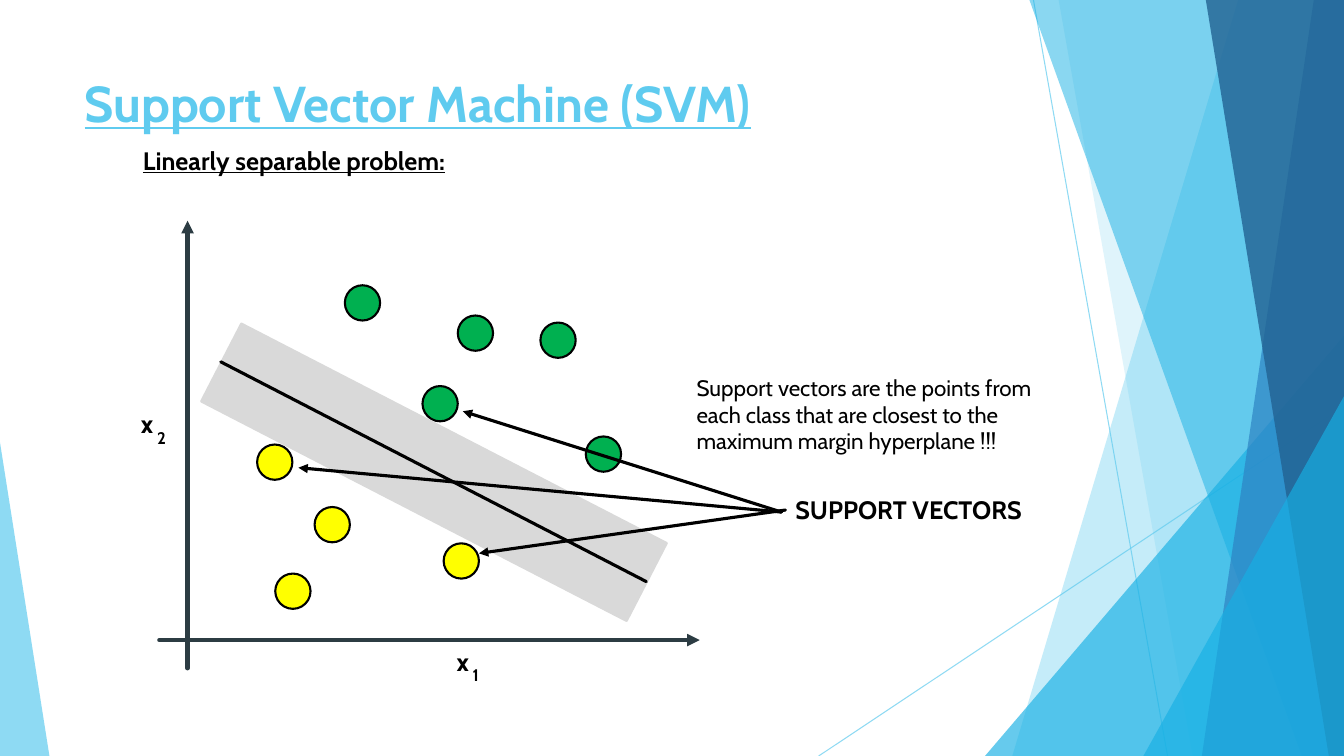
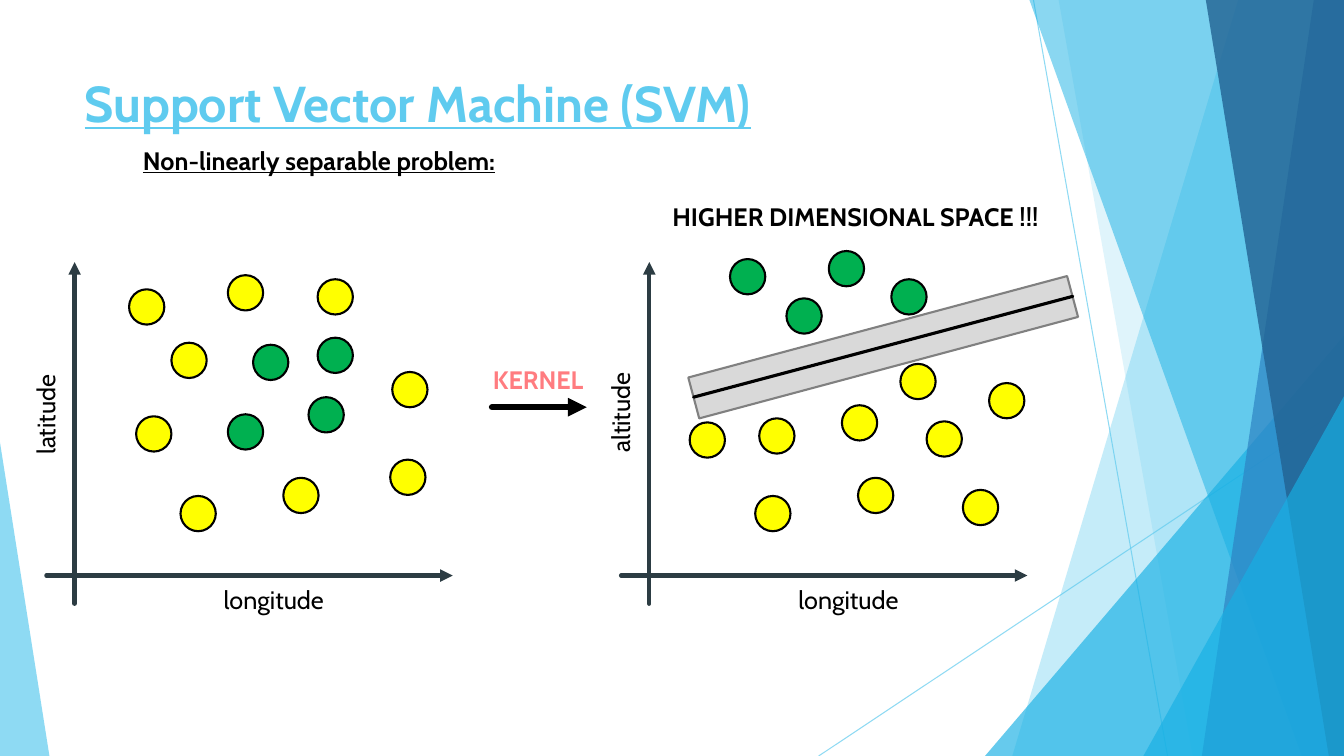
from pptx import Presentation
from pptx.dml.color import RGBColor
from pptx.enum.shapes import MSO_CONNECTOR, MSO_SHAPE
from pptx.oxml.ns import qn
from pptx.oxml.xmlchemy import OxmlElement
from pptx.util import Inches, Pt

STRAIGHT = MSO_CONNECTOR.STRAIGHT
OVAL = MSO_SHAPE.OVAL
RECTANGLE = MSO_SHAPE.RECTANGLE
TRIANGLE = MSO_SHAPE.ISOSCELES_TRIANGLE

SLIDE_WIDTH, SLIDE_HEIGHT = 13.33, 7.5
FONT = "Cabin"
LEFT_SIDE = 1
DOT_SIZE = 0.35
AXIS_TAIL = 0.28
LABEL_HEIGHT = 0.4
COLORS = {
    "sky": "5FCBEF",
    "azure": "17B0E4",
    "blue": "2E83C3",
    "navy": "226292",
    "axis": "2C3C43",
    "black": "000000",
    "yellow": "FFFF00",
    "green": "00B050",
    "margin": "D9D9D9",
    "margin_edge": "808080",
    "kernel": "FF7C80",
}


def rgb(color):
    return RGBColor.from_string(COLORS[color])


def set_opacity(shape, percent):
    """Make every colour of the shape's fill and line partly transparent."""
    for color in shape.element.spPr.iter(qn("a:srgbClr")):
        alpha = OxmlElement("a:alpha")
        alpha.set("val", str(percent * 1000))
        color.append(alpha)


def style_shape(shape, fill, edge=None, opacity=None):
    shape.shadow.inherit = False
    shape.fill.solid()
    shape.fill.fore_color.rgb = rgb(fill)
    if edge:
        shape.line.color.rgb = rgb(edge)
        shape.line.width = Pt(1.5)
    else:
        shape.line.fill.background()
    if opacity:
        set_opacity(shape, opacity)


def add_line(slide, start, end, color="black", width=2.25, arrow=False):
    """Draw a round-capped line, with a head at its end if arrow is set."""
    connector = slide.shapes.add_connector(
        STRAIGHT, *(Inches(value) for value in (*start, *end)))
    connector.line.color.rgb = rgb(color)
    connector.line.width = Pt(width)
    properties = connector.element.spPr
    outline = properties.find(qn("a:ln"))
    outline.set("cap", "rnd")
    if arrow:
        head = OxmlElement("a:tailEnd")
        head.set("type", "triangle")
        outline.append(head)
    properties.append(OxmlElement("a:effectLst"))
    return connector


def add_text(slide, text, left, top, width, height=LABEL_HEIGHT, size=18,
             color="black", bold=False, underline=False, rotation=0):
    """Add a text box with one paragraph for each line of text."""
    box = slide.shapes.add_textbox(
        Inches(left), Inches(top), Inches(width), Inches(height))
    box.rotation = rotation
    frame = box.text_frame
    frame.word_wrap = True
    frame.text = text
    for paragraph in frame.paragraphs:
        font = paragraph.font
        font.name = FONT
        font.size = Pt(size)
        font.bold = bold
        font.underline = underline
        font.color.rgb = rgb(color)
    return box


def add_band(slide, top_left, bottom_left, color, opacity):
    """Fill the slide from a slanted left edge to the right border."""
    builder = slide.shapes.build_freeform(Inches(top_left), 0)
    right, bottom = Inches(SLIDE_WIDTH), Inches(SLIDE_HEIGHT)
    builder.add_line_segments(
        [(right, 0), (right, bottom), (Inches(bottom_left), bottom)])
    style_shape(builder.convert_to_shape(), color, opacity=opacity)


def add_corner(slide, left, top, width, apex, color, opacity):
    """Add a triangle that stands on the bottom border of the slide."""
    shape = slide.shapes.add_shape(
        TRIANGLE, Inches(left), Inches(top), Inches(width),
        Inches(SLIDE_HEIGHT - top))
    shape.adjustments[0] = apex
    style_shape(shape, color, opacity=opacity)


def add_background(slide):
    for start, end in (((10.25, 0), (11.58, SLIDE_HEIGHT)),
                       ((SLIDE_WIDTH, 4.03), (8.12, SLIDE_HEIGHT))):
        set_opacity(add_line(slide, start, end, "sky", 0.75), 70)
    add_band(slide, 12.28, 10.04, "sky", 36)
    add_band(slide, 10.5, 11.83, "sky", 20)
    add_corner(slide, 9.77, 3.33, 3.56, 1, "azure", 66)
    add_band(slide, 10.21, 12.91, "azure", 50)
    add_band(slide, 13.03, 11.92, "blue", 70)
    add_band(slide, 11.96, 13.18, "navy", 80)
    add_corner(slide, 11.34, 3.93, 1.99, 1, "azure", 66)
    add_corner(slide, 0, 4.39, 0.49, 0, "sky", 70)


def add_svm_slide(presentation, subtitle):
    slide = presentation.slides.add_slide(presentation.slide_layouts[6])
    add_background(slide)
    add_text(slide, "Support Vector Machine (SVM)", 0.74, 0.67, 9.4, 1.44,
             size=36, color="sky", bold=True, underline=True)
    add_text(slide, subtitle, 1.32, 1.39, 4.5, bold=True, underline=True)
    return slide


def add_axes(slide, x, y, top, right):
    """Draw two arrows that cross at (x, y)."""
    for start, end in (((x, y + AXIS_TAIL), (x, top)),
                       ((x - AXIS_TAIL, y), (right, y))):
        add_line(slide, start, end, "axis", 3, arrow=True)


def add_variable(slide, subscript, left, top):
    add_text(slide, "x", left, top, 0.35, bold=True)
    add_text(slide, subscript, left + 0.16, top + 0.19, 0.3, 0.3,
             size=12, bold=True)


def add_map_axes(slide, x, vertical_name, name_width):
    """Add the axes of a longitude plot with their names."""
    add_axes(slide, x, 5.71, 2.6, x + 3.75)
    add_text(slide, vertical_name, x - 0.29 - name_width / 2, 3.84,
             name_width, rotation=270)
    add_text(slide, "longitude", x + 1.38, 5.75, 1.37)


def add_dots(slide, color, positions):
    for left, top in positions:
        dot = slide.shapes.add_shape(
            OVAL, Inches(left), Inches(top),
            Inches(DOT_SIZE), Inches(DOT_SIZE))
        style_shape(dot, color, "black")


def add_margin(slide, left, top, width, height, rotation, edge):
    margin = slide.shapes.add_shape(
        RECTANGLE, Inches(left), Inches(top), Inches(width), Inches(height))
    margin.rotation = rotation
    style_shape(margin, "margin", edge)


def add_linear_slide(presentation):
    slide = add_svm_slide(presentation, "Linearly separable problem:")
    add_axes(slide, 1.86, 6.35, 2.19, 6.94)
    add_dots(slide, "yellow", [
        (2.55, 4.41), (2.73, 5.69), (3.12, 5.03), (4.4, 5.39)])
    add_dots(slide, "green", [
        (3.42, 2.83), (4.19, 3.83), (5.81, 4.33), (5.36, 3.2), (4.54, 3.13)])
    add_text(slide, "Support vectors are the points from\n"
             "each class that are closest to the\n"
             "maximum margin hyperplane !!!", 6.81, 3.66, 3.81, 0.91, size=16)
    add_margin(slide, 3.87, 2.31, 0.87, 4.75, 297.3, "margin")
    add_line(slide, (2.19, 3.59), (6.41, 5.77))
    label = add_text(slide, "SUPPORT VECTORS", 7.79, 4.86, 2.68, bold=True)
    for end in ((2.96, 4.64), (4.59, 4.08)):
        add_line(slide, (7.75, 5.08), end, arrow=True)
    pointer = add_line(slide, (7.79, 5.06), (4.75, 5.49), arrow=True)
    pointer.begin_connect(label, LEFT_SIDE)
    add_variable(slide, "1", 4.43, 6.36)
    add_variable(slide, "2", 1.3, 4)


def add_kernel_slide(presentation):
    slide = add_svm_slide(presentation, "Non-linearly separable problem:")
    add_map_axes(slide, 0.74, "latitude", 1.14)
    add_dots(slide, "yellow", [
        (1.7, 3.4), (1.79, 4.92), (1.35, 4.13), (2.81, 4.74), (2.26, 2.73),
        (3.15, 2.77), (3.89, 3.69), (3.87, 4.56), (1.28, 2.87)])
    add_dots(slide, "green", [
        (2.51, 3.42), (2.26, 4.11), (3.06, 3.94), (3.15, 3.35)])
    add_map_axes(slide, 6.44, "altitude", 1.1)
    add_dots(slide, "yellow", [
        (7.49, 4.92), (6.84, 4.19), (8.51, 4.74), (8.35, 4.02), (7.53, 4.15),
        (9.19, 4.18), (8.93, 3.61), (9.81, 3.8), (9.55, 4.86)])
    add_dots(slide, "green", [
        (7.8, 2.96), (8.22, 2.49), (8.84, 2.77), (7.24, 2.57)])
    add_line(slide, (4.88, 4.04), (5.82, 4.04), width=4.5, arrow=True)
    add_text(slide, "KERNEL", 4.79, 3.57, 1.11, color="kernel", bold=True)
    add_margin(slide, 8.55, 1.5, 0.42, 3.89, 255, "margin_edge")
    add_line(slide, (6.88, 3.94), (10.64, 2.94))
    add_text(slide, "HIGHER DIMENSIONAL SPACE !!!", 6.57, 1.95, 3.87, bold=True)


def main():
    presentation = Presentation()
    presentation.slide_width = Inches(SLIDE_WIDTH)
    presentation.slide_height = Inches(SLIDE_HEIGHT)
    add_linear_slide(presentation)
    add_kernel_slide(presentation)
    presentation.save("out.pptx")


if __name__ == "__main__":
    main()
